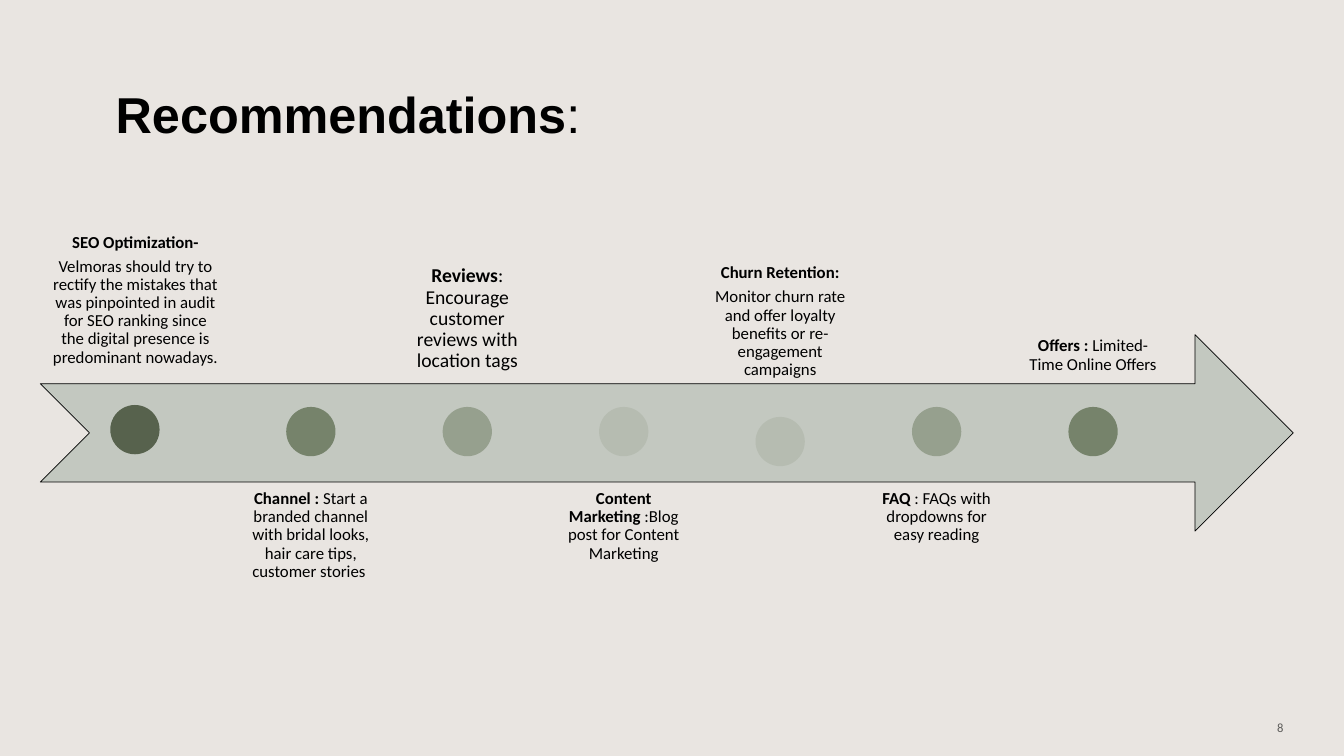
"""Build the recommendations timeline slide."""
from dataclasses import dataclass

from pptx import Presentation
from pptx.dml.color import RGBColor
from pptx.enum.shapes import MSO_SHAPE
from pptx.enum.text import MSO_ANCHOR, PP_ALIGN
from pptx.util import Pt

ARROW, DOT = MSO_SHAPE.NOTCHED_RIGHT_ARROW, MSO_SHAPE.OVAL
TOP, MIDDLE, BOTTOM = MSO_ANCHOR.TOP, MSO_ANCHOR.MIDDLE, MSO_ANCHOR.BOTTOM
LEFT, CENTER, RIGHT = PP_ALIGN.LEFT, PP_ALIGN.CENTER, PP_ALIGN.RIGHT

BACKGROUND = RGBColor(0xE9, 0xE5, 0xE1)
BLACK = RGBColor(0x00, 0x00, 0x00)
GRAY = RGBColor(0x5D, 0x5C, 0x5A)
ARROW_FILL = RGBColor(0xC3, 0xC8, 0xC0)
DARK = RGBColor(0x57, 0x62, 0x4D)
GREEN = RGBColor(0x76, 0x83, 0x6B)
SAGE = RGBColor(0x96, 0xA0, 0x8E)
PALE = RGBColor(0xB6, 0xBC, 0xB1)

FIRST_DOT, DOT_PITCH, DOT_SIZE, DOT_TOP = 92.7, 111.75, 35.2, 290.7
LABEL_WIDTH, LABEL_HEIGHT = 106.5, 140.4
ABOVE_BOTTOM, BELOW_TOP = 273.6, 343.4


@dataclass
class Style:
    """Look of the text in a box."""

    size: float
    font: str = "Calibri"
    color: RGBColor = BLACK
    align: PP_ALIGN = CENTER
    anchor: MSO_ANCHOR = MIDDLE
    inset: float = 7.2
    line_spacing: float = 1.0
    space_after: float = 0


@dataclass
class Step:
    """One recommendation on the arrow."""

    lead: str
    detail: str
    color: RGBColor
    above: bool
    split: bool = False
    size: float = 12
    inset: float = 6.7
    bottom: float = ABOVE_BOTTOM
    width: float = LABEL_WIDTH
    dot_shift: tuple[float, float] = (0, 0)
    label_shift: float = 0


STEPS = [
    Step("SEO Optimization-",
         "Velmoras should try to rectify the mistakes that was pinpointed in audit "
         "for SEO ranking since the digital presence is predominant nowadays.",
         DARK, True, split=True, bottom=268.6, width=134,
         dot_shift=(-13.9, -1.4), label_shift=-13.5),
    Step("Channel : ",
         "Start a branded channel with bridal looks, hair care tips, customer stories ",
         GREEN, False),
    Step("Reviews", ": Encourage customer reviews with location tags", SAGE, True,
         size=14, inset=7.9),
    Step("Content Marketing ", ":Blog post for Content Marketing", PALE, False),
    Step("Churn Retention:",
         "Monitor churn rate and offer loyalty benefits or re-engagement campaigns",
         PALE, True, split=True, bottom=277.5, dot_shift=(0, 7.1)),
    Step("FAQ ", ": FAQs with dropdowns for easy reading", SAGE, False),
    Step("Offers : ", "Limited-Time Online Offers", GREEN, True),
]


def add_text(page, left: float, top: float, width: float, height: float,
             paragraphs: list[list[tuple[str, bool]]], style: Style) -> None:
    """Add a text box whose spans are pairs of wording and boldness."""
    box = page.shapes.add_textbox(Pt(left), Pt(top), Pt(width), Pt(height))
    frame = box.text_frame
    frame.word_wrap = True
    frame.vertical_anchor = style.anchor
    frame.margin_left = frame.margin_right = Pt(style.inset)
    frame.margin_top = frame.margin_bottom = Pt(min(style.inset, style.size / 1.5))
    for index, spans in enumerate(paragraphs):
        para = frame.add_paragraph() if index else frame.paragraphs[0]
        para.alignment = style.align
        para.line_spacing = style.line_spacing
        para.space_after = Pt(style.space_after)
        para.font.name = style.font
        para.font.size = Pt(style.size)
        para.font.color.rgb = style.color
        for wording, bold in spans:
            span = para.add_run()
            span.text = wording
            span.font.bold = bold


def add_filled(page, kind: MSO_SHAPE, left: float, top: float,
               width: float, height: float, color: RGBColor):
    """Add a flat shape without an outline."""
    shape = page.shapes.add_shape(kind, Pt(left), Pt(top), Pt(width), Pt(height))
    shape.shadow.inherit = False
    shape.fill.solid()
    shape.fill.fore_color.rgb = color
    shape.line.fill.background()
    return shape


def add_step(page, index: int, step: Step) -> None:
    """Add the label and the dot of one recommendation."""
    left = FIRST_DOT + index * DOT_PITCH
    label_left = left + DOT_SIZE / 2 - step.width / 2 + step.label_shift
    top = step.bottom - LABEL_HEIGHT if step.above else BELOW_TOP
    lead, detail = (step.lead, True), (step.detail, False)
    paragraphs = [[lead], [detail]] if step.split else [[lead, detail]]
    style = Style(step.size, anchor=BOTTOM if step.above else TOP, inset=step.inset,
                  line_spacing=0.9, space_after=4.2)
    add_text(page, label_left, top, step.width, LABEL_HEIGHT, paragraphs, style)
    shift_x, shift_y = step.dot_shift
    add_filled(page, DOT, left + shift_x, DOT_TOP + shift_y, DOT_SIZE, DOT_SIZE,
               step.color)


def main() -> None:
    """Build and save the deck."""
    deck = Presentation()
    deck.slide_width, deck.slide_height = Pt(960), Pt(540)
    page = deck.slides.add_slide(deck.slide_layouts[6])
    page.background.fill.solid()
    page.background.fill.fore_color.rgb = BACKGROUND
    add_text(page, 75.5, 28.8, 818, 104.4,
             [[("Recommendations", True), (":", False)]],
             Style(36, font="Arial", align=LEFT))
    add_text(page, 707.8, 505.4, 216, 28.8, [[("8", False)]],
             Style(9, color=GRAY, align=RIGHT))
    arrow = add_filled(page, ARROW, 28.8, 239, 895, 140.4, ARROW_FILL)
    arrow.line.color.rgb = BLACK
    arrow.line.width = Pt(0.5)
    for index, step in enumerate(STEPS):
        add_step(page, index, step)
    deck.save("out.pptx")


if __name__ == "__main__":
    main()
